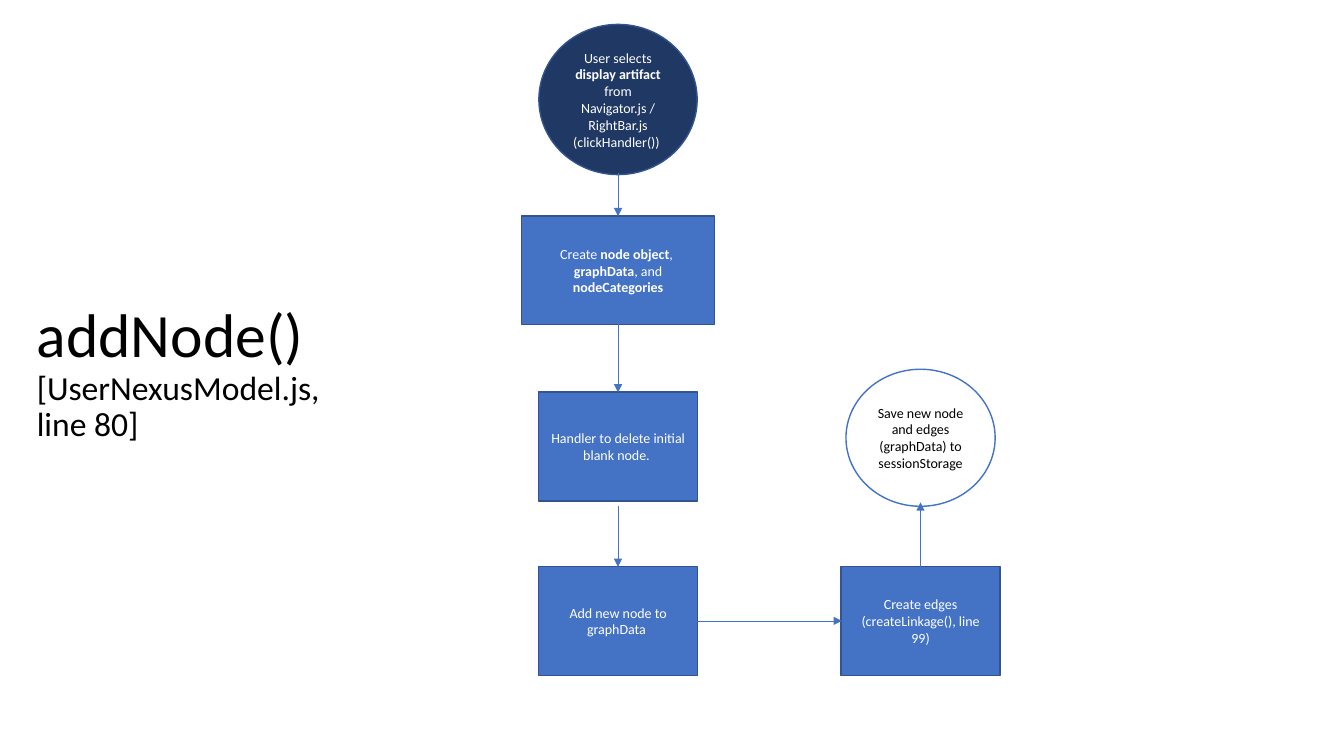
from lxml.etree import SubElement
from pptx import Presentation
from pptx.dml.color import RGBColor
from pptx.enum.shapes import MSO_CONNECTOR as Connector, MSO_SHAPE as Shape
from pptx.enum.text import MSO_ANCHOR as Anchor, PP_ALIGN as Align
from pptx.oxml.ns import qn
from pptx.util import Inches, Pt

WHITE = RGBColor(0xFF, 0xFF, 0xFF)
BLACK = RGBColor(0x00, 0x00, 0x00)
NAVY = RGBColor(0x20, 0x38, 0x64)
BLUE = RGBColor(0x44, 0x72, 0xC4)
EDGE = RGBColor(0x32, 0x54, 0x91)

FONT = "Calibri"
PAGE_WIDTH, PAGE_HEIGHT = 13.33, 7.5
FIRST_COLUMN, COLUMN_STEP = 6.13, 3
FIRST_ROW, ROW_STEP = 0.97, 1.73
STEP_SIZE = (1.58, 1.08)


def column(number):
    return Inches(FIRST_COLUMN + number * COLUMN_STEP)


def row(number):
    return Inches(FIRST_ROW + number * ROW_STEP)


def set_font(font, size, color):
    font.name = FONT
    font.size = Pt(size)
    font.color.rgb = color


def add_node(page, kind, center, size, lines, fill=BLUE, edge=EDGE, color=WHITE):
    width, height = (Inches(length) for length in size)
    left = column(center[0]) - width // 2
    top = row(center[1]) - height // 2
    node = page.shapes.add_shape(kind, left, top, width, height)
    node.shadow.inherit = False
    node.fill.solid()
    node.fill.fore_color.rgb = fill
    node.line.color.rgb = edge
    node.line.width = Pt(1)
    frame = node.text_frame
    frame.word_wrap = True
    frame.vertical_anchor = Anchor.MIDDLE
    for index, line in enumerate(lines):
        para = frame.add_paragraph() if index else frame.paragraphs[0]
        para.alignment = Align.CENTER
        set_font(para.font, 10, color)
        for position, text in enumerate(line.split("*")):
            if text:
                span = para.add_run()
                span.text = text
                span.font.bold = position % 2 == 1


def add_arrow(page, start, end):
    arrow = page.shapes.add_connector(
        Connector.STRAIGHT, column(start[0]), row(start[1]), column(end[0]), row(end[1])
    )
    arrow.line.color.rgb = BLUE
    arrow.line.width = Pt(0.5)
    SubElement(arrow.line._get_or_add_ln(), qn("a:tailEnd"), type="triangle")
    SubElement(arrow._element.spPr, qn("a:effectLst"))


def add_title(page, name, place):
    box = page.shapes.add_textbox(
        Inches(0.02 * PAGE_WIDTH), Inches(0.16 * PAGE_HEIGHT),
        Inches(0.24 * PAGE_WIDTH), Inches(0.67 * PAGE_HEIGHT),
    )
    frame = box.text_frame
    frame.word_wrap = True
    frame.vertical_anchor = Anchor.MIDDLE
    para = frame.paragraphs[0]
    para.line_spacing = 0.9
    heading = para.add_run()
    heading.text = name
    set_font(heading.font, 44, BLACK)
    para.add_line_break()
    source = para.add_run()
    source.text = place
    set_font(source.font, 24, BLACK)


def main():
    deck = Presentation()
    deck.slide_width = Inches(PAGE_WIDTH)
    deck.slide_height = Inches(PAGE_HEIGHT)
    page = deck.slides.add_slide(deck.slide_layouts[6])

    add_title(page, "addNode()", "[UserNexusModel.js, line 80]")

    add_node(page, Shape.OVAL, (0, 0.01), (1.57, 1.49),
             ["User selects *display artifact *from Navigator.js / RightBar.js (clickHandler()) "],
             fill=NAVY)
    add_node(page, Shape.RECTANGLE, (0, 0.99), (1.91, 1.08),
             ["Create *node object*, ", "*graphData*, and *nodeCategories*"])
    steps = [
        ((0, 2), "Handler to delete initial blank node. "),
        ((0, 3), "Add new node to graphData "),
        ((1, 3), "Create edges (createLinkage(), line 99)"),
    ]
    for center, text in steps:
        add_node(page, Shape.RECTANGLE, center, STEP_SIZE, [text])
    add_node(page, Shape.OVAL, (1, 1.95), (1.48, 1.36),
             ["Save new node and edges (graphData) to sessionStorage "],
             fill=WHITE, edge=BLUE, color=BLACK)

    arrows = [
        ((0, 0.43), (0, 0.68)),
        ((0, 1.3), (0, 1.69)),
        ((0, 2.34), (0, 2.69)),
        ((0.26, 3), (0.74, 3)),
        ((1, 2.69), (1, 2.32)),
    ]
    for start, end in arrows:
        add_arrow(page, start, end)

    deck.save("out.pptx")


main()
